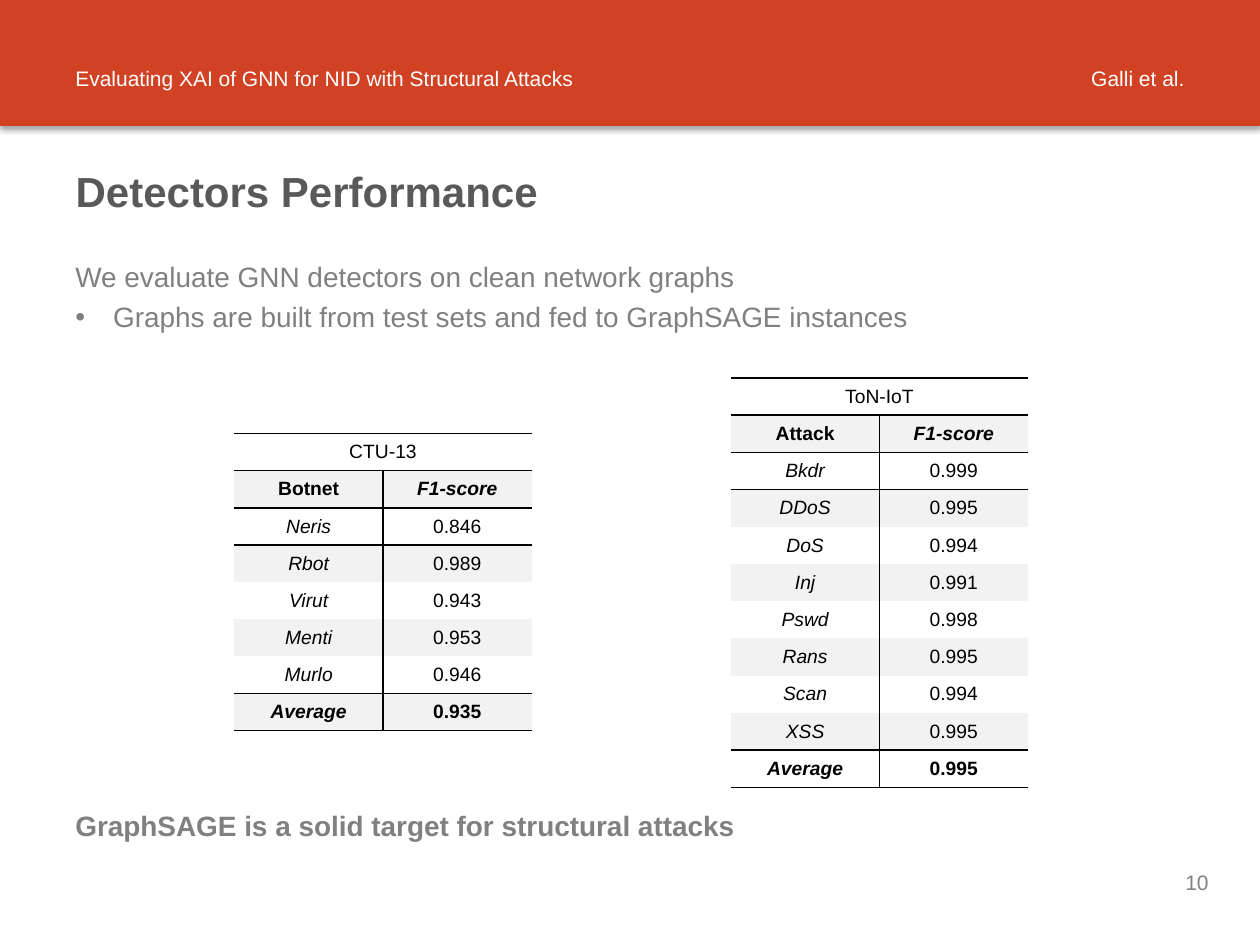
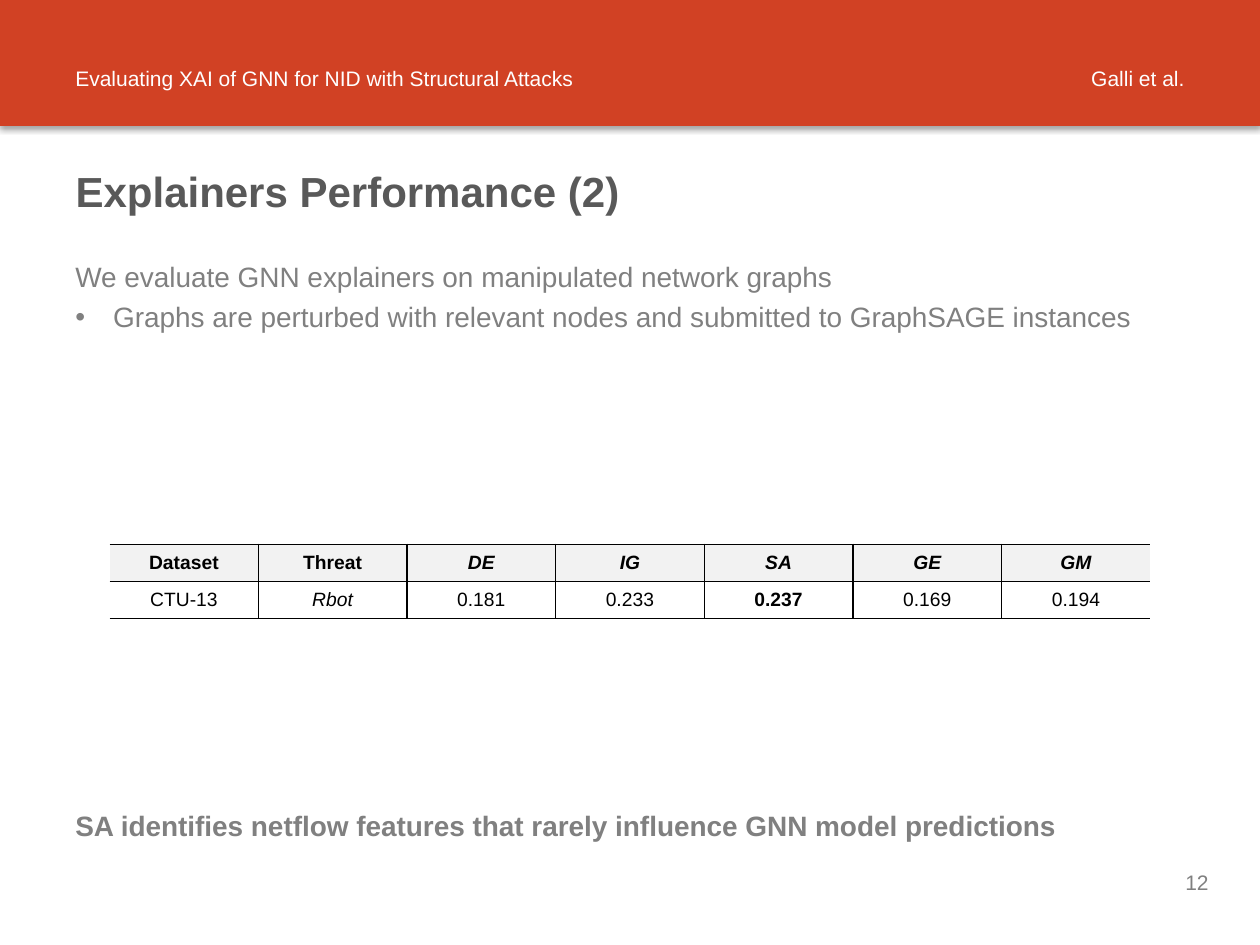
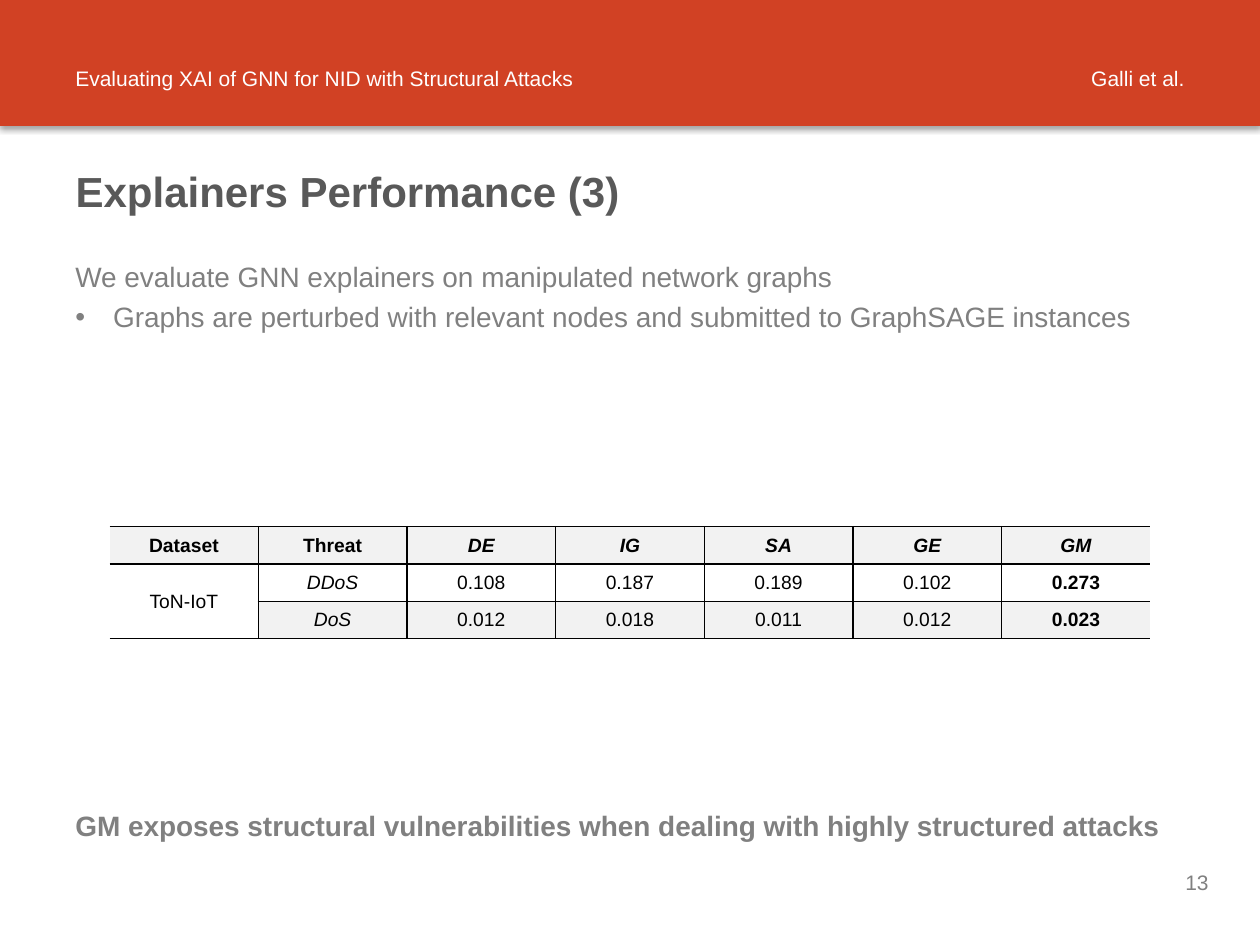
from lxml.etree import SubElement
from pptx import Presentation
from pptx.dml.color import RGBColor
from pptx.enum.shapes import MSO_SHAPE
from pptx.enum.text import MSO_ANCHOR, PP_ALIGN
from pptx.oxml.ns import qn
from pptx.util import Inches, Pt

# Shared look
FONT = "Arial"
BAND, WHITE, STRIPE, BLACK = "D14124", "FFFFFF", "F2F2F2", "000000"
TITLE_GREY, TEXT_GREY = "595959", "808080"
NO_STYLE = "{2D5ABB26-0587-4C30-8999-92F81FD0307C}"
COLUMN_WIDTH = 1.18
EXPLAINERS = ["DE", "IG", "SA", "GE", "GM"]
TABLE_TITLE_ROW, TABLE_HEAD_ROW = 0, 1


def color(value):
    return RGBColor.from_string(value)


# Text helpers
def add_run(para, text, size, shade, bold=False, italic=False):
    span = para.add_run()
    span.text = text
    font = span.font
    font.name, font.size = FONT, Pt(size)
    font.bold, font.italic = bold, italic
    font.color.rgb = color(shade)


def add_text_frame(page, box, anchor=MSO_ANCHOR.TOP):
    frame = page.shapes.add_textbox(*map(Inches, box)).text_frame
    frame.word_wrap = True
    frame.vertical_anchor = anchor
    return frame


def add_bullet(para):
    properties = para._p.get_or_add_pPr()
    properties.set("marL", str(Inches(0.3)))
    properties.set("indent", str(-Inches(0.3)))
    SubElement(properties, qn("a:buFont"), typeface=FONT)
    SubElement(properties, qn("a:buChar"), char="•")


# Header band with its shadow and two labels
def add_header(page, box):
    left, top, width, height = box
    band = page.shapes.add_shape(MSO_SHAPE.RECTANGLE, *map(Inches, box))
    band.fill.solid()
    band.fill.fore_color.rgb = color(BAND)
    band.line.fill.background()
    band.shadow.inherit = False
    effects = band._element.spPr.find(qn("a:effectLst"))
    shadow = SubElement(effects, qn("a:outerShdw"), blurRad=str(Pt(3.1)),
                        dist=str(Pt(1.8)), dir="5400000", rotWithShape="0")
    shade = SubElement(shadow, qn("a:srgbClr"), val=BLACK)
    SubElement(shade, qn("a:alpha"), val="35000")

    label_width = width / 2 - 0.5
    labels = [
        (left + 0.5, "Evaluating XAI of GNN for NID with Structural Attacks", PP_ALIGN.LEFT),
        (left + width / 2, "Galli et al.", PP_ALIGN.RIGHT),
    ]
    for label_left, text, alignment in labels:
        frame = add_text_frame(page, (label_left, top, label_width, height), MSO_ANCHOR.MIDDLE)
        para = frame.paragraphs[0]
        para.alignment = alignment
        para.line_spacing, para.space_before = Pt(31.2), Pt(2.4)
        add_run(para, text, 12, WHITE)


def add_page_number(page, box, number):
    para = add_text_frame(page, box, MSO_ANCHOR.MIDDLE).paragraphs[0]
    para.alignment = PP_ALIGN.CENTER
    add_run(para, str(number), 12, TEXT_GREY)


def set_title(page, box, text):
    title = page.shapes.title
    title.left, title.top, title.width, title.height = map(Inches, box)
    title.text_frame.vertical_anchor = MSO_ANCHOR.MIDDLE
    para = title.text_frame.paragraphs[0]
    para.alignment = PP_ALIGN.LEFT
    add_run(para, text, 24, TITLE_GREY, bold=True)


# Opening statement, bullet and closing statement
def add_body(page, box, statement, detail, conclusion):
    left, top, width, height = box
    intro = add_text_frame(page, (left, top, width, 0.75))
    closing = add_text_frame(page, (left, top + 4.36, width, height - 4.36))
    lines = [
        (intro.paragraphs[0], statement, False),
        (intro.add_paragraph(), detail, False),
        (closing.paragraphs[0], conclusion, True),
    ]
    for para, text, bold in lines:
        para.alignment = PP_ALIGN.JUSTIFY
        para.space_before = Pt(4)
        add_run(para, text, 16, TEXT_GREY, bold)
    add_bullet(intro.paragraphs[1])


def add_content_page(deck, number, title, statement, detail, conclusion):
    page = deck.slides.add_slide(deck.slide_layouts[5])
    add_page_number(page, (9, 6.5, 1, 1), number)
    add_header(page, (0, 0, 10, 1))
    set_title(page, (0.5, 1.01, 9, 1), title)
    add_body(page, (0.5, 2.01, 9, 5), statement, detail, conclusion)
    return page


# Table helpers
def add_plain_table(page, box, row_count, column_count):
    left, top, height = map(Inches, box)
    width = Inches(COLUMN_WIDTH) * column_count
    table = page.shapes.add_table(row_count, column_count, left, top, width, height).table
    table.first_row = table.horz_banding = False
    table._tbl.tblPr.find(qn("a:tableStyleId")).text = NO_STYLE
    return table


def add_borders(cell, sides):
    properties = cell._tc.get_or_add_tcPr()
    for side in "LRTB":
        if side in sides:
            line = SubElement(properties, qn(f"a:ln{side}"), w=str(Pt(1)))
            fill = SubElement(line, qn("a:solidFill"))
            SubElement(fill, qn("a:srgbClr"), val=BLACK)


def rule_table(table, row_lines, first_divided_row):
    """Draw lines at the given row edges, and between columns from one row down."""
    last_column = len(table.columns) - 1
    for row in range(len(table.rows)):
        for column in range(last_column + 1):
            cell = table.cell(row, column)
            bottom = row + (cell.span_height if cell.is_merge_origin else 1)
            divided = row >= first_divided_row
            sides = {
                "L": divided and column > 0,
                "R": divided and column < last_column,
                "T": row in row_lines,
                "B": bottom in row_lines,
            }
            add_borders(cell, [side for side, drawn in sides.items() if drawn])


def fill_cell(cell, text, striped, bold, italic):
    cell.fill.solid()
    cell.fill.fore_color.rgb = color(STRIPE if striped else WHITE)
    cell.vertical_anchor = MSO_ANCHOR.MIDDLE
    para = cell.text_frame.paragraphs[0]
    para.alignment = PP_ALIGN.CENTER
    if text:
        add_run(para, text, 11, BLACK, bold, italic)


# Detector scores of one dataset, with an average row
def add_score_table(page, box, dataset, category, scores):
    rows = [(dataset, ""), (category, "F1-score"), *scores]
    count = len(rows)
    table = add_plain_table(page, box, count, 2)
    table.cell(0, 0).merge(table.cell(0, 1))
    rule_table(table, {0, 1, 2, count - 1, count}, TABLE_HEAD_ROW)
    for row, texts in enumerate(rows):
        bold = row in (TABLE_HEAD_ROW, count - 1)
        for column, text in enumerate(texts):
            italic = row != TABLE_TITLE_ROW and (row == TABLE_HEAD_ROW) == (column == 1)
            fill_cell(table.cell(row, column), text, row % 2 == 1, bold, italic)


# Explainer scores by threat, with the best of each row in bold
def add_explainer_table(page, box, dataset, threats):
    rows = [["Dataset", "Threat", *EXPLAINERS]]
    rows += [["", threat, *scores] for threat, scores in threats]
    rows[1][0] = dataset
    count = len(rows)
    table = add_plain_table(page, box, count, len(rows[0]))
    if count > 2:
        table.cell(1, 0).merge(table.cell(count - 1, 0))
    rule_table(table, {0, 1, count}, 0)
    for row, texts in enumerate(rows):
        best = max(texts[2:])
        for column, text in enumerate(texts):
            head = row == 0
            bold = head or (column > 1 and text == best)
            italic = column > 1 if head else column == 1
            striped = row % 2 == 0 and (head or column > 0)
            fill_cell(table.cell(row, column), text, striped, bold, italic)


def add_detectors_page(deck):
    page = add_content_page(
        deck, 10, "Detectors Performance",
        "We evaluate GNN detectors on clean network graphs",
        "Graphs are built from test sets and fed to GraphSAGE instances",
        "GraphSAGE is a solid target for structural attacks")
    add_score_table(page, (1.86, 3.44, 2.36), "CTU-13", "Botnet", [
        ("Neris", "0.846"), ("Rbot", "0.989"), ("Virut", "0.943"),
        ("Menti", "0.953"), ("Murlo", "0.946"), ("Average", "0.935")])
    add_score_table(page, (5.8, 3, 3.25), "ToN-IoT", "Attack", [
        ("Bkdr", "0.999"), ("DDoS", "0.995"), ("DoS", "0.994"),
        ("Inj", "0.991"), ("Pswd", "0.998"), ("Rans", "0.995"),
        ("Scan", "0.994"), ("XSS", "0.995"), ("Average", "0.995")])


def add_explainers_page(deck, number, part, conclusion, table_box, dataset, threats):
    page = add_content_page(
        deck, number, f"Explainers Performance ({part})",
        "We evaluate GNN explainers on manipulated network graphs",
        "Graphs are perturbed with relevant nodes and submitted to GraphSAGE instances",
        conclusion)
    add_explainer_table(page, table_box, dataset, threats)


def main():
    deck = Presentation()
    deck.slide_width, deck.slide_height = Inches(10), Inches(7.5)
    add_detectors_page(deck)
    add_explainers_page(
        deck, 12, 2,
        "SA identifies netflow features that rarely influence GNN model predictions",
        (0.87, 4.32, 0.59), "CTU-13",
        [("Rbot", ["0.181", "0.233", "0.237", "0.169", "0.194"])])
    add_explainers_page(
        deck, 13, 3,
        "GM exposes structural vulnerabilities when dealing with highly structured attacks",
        (0.87, 4.18, 0.89), "ToN-IoT",
        [("DDoS", ["0.108", "0.187", "0.189", "0.102", "0.273"]),
         ("DoS", ["0.012", "0.018", "0.011", "0.012", "0.023"])])
    deck.save("out.pptx")


if __name__ == "__main__":
    main()
